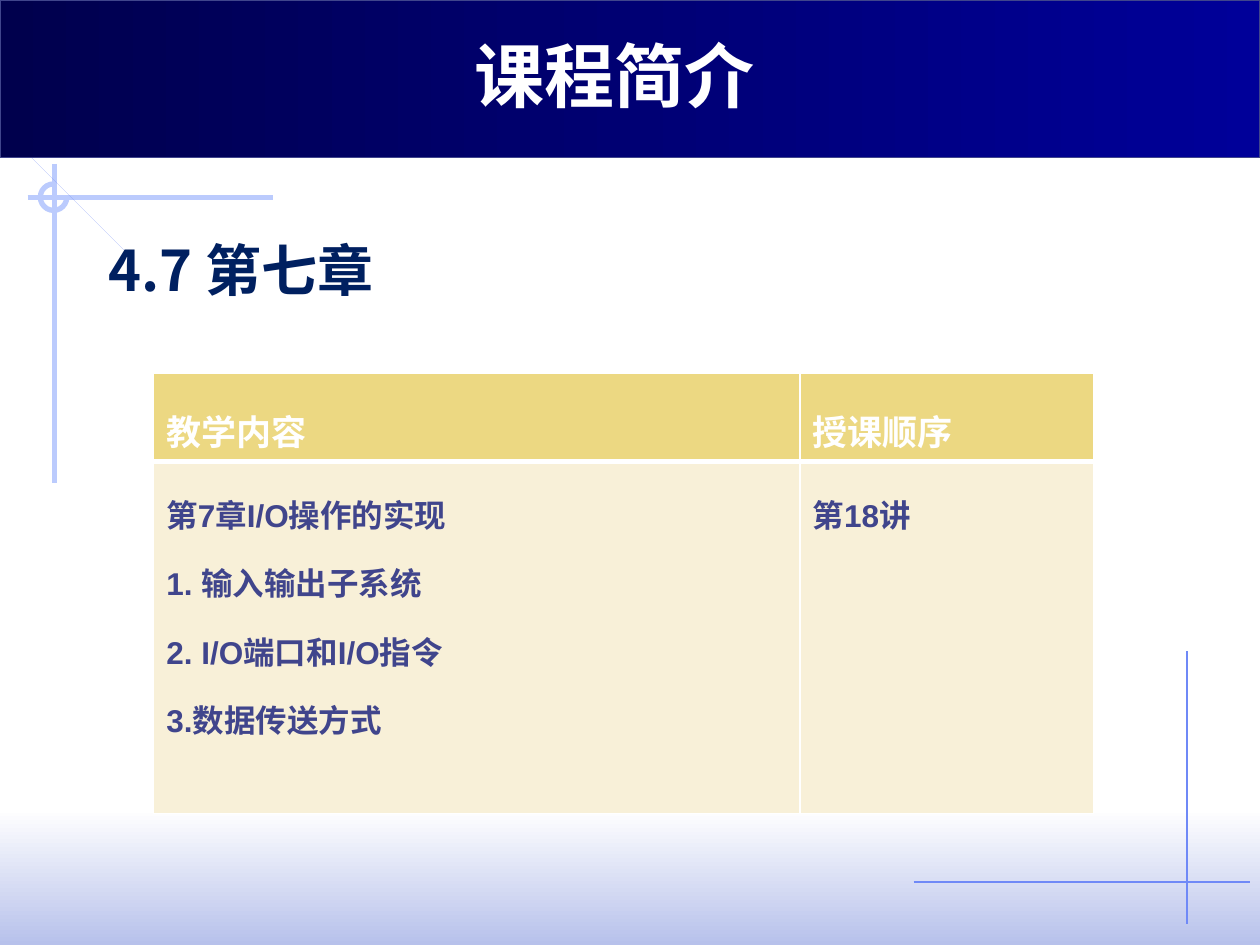
"""Build the course introduction slide for chapter seven."""
from lxml import etree
from pptx import Presentation
from pptx import util as u
from pptx.dml.color import RGBColor
from pptx.enum import shapes, text
from pptx.oxml.ns import qn

PALE_LINE, THIN_LINE, INDIGO, WHITE = "BBCBFD", "6F89F7", "40458C", "FFFFFF"
HEADER_FILL, BODY_FILL = "ECD882", "F8F0D8"
HEADINGS = ["教学内容", "授课顺序"]
LESSON = [
    ["第7章I/O操作的实现", "1. 输入输出子系统", "2. I/O端口和I/O指令", "3.数据传送方式"],
    ["第18讲"],
]


def color(value):
    """Return the colour for a hex string."""
    return RGBColor.from_string(value)


def place(item, left, top, width, height):
    """Set position and size in inches."""
    item.left, item.top = u.Inches(left), u.Inches(top)
    item.width, item.height = u.Inches(width), u.Inches(height)


def add_gradient_band(slide, top, height, start, end, angle, outline=None):
    """Add a full-width rectangle with a two-colour gradient."""
    band = slide.shapes.add_shape(
        shapes.MSO_SHAPE.RECTANGLE, 0, u.Inches(top), u.Inches(10), u.Inches(height))
    band.shadow.inherit = False
    band.fill.gradient()
    band.fill.gradient_angle = angle
    for stop, value in zip(band.fill.gradient_stops, (start, end)):
        stop.color.rgb = color(value)
    if outline:
        band.line.color.rgb = color(outline)
        band.line.width = u.Pt(0.75)
    else:
        band.line.fill.background()


def add_line(slide, start, end, value, width):
    """Add a straight line between two points."""
    line = slide.shapes.add_connector(
        shapes.MSO_CONNECTOR.STRAIGHT, *map(u.Inches, start + end))
    line.line.color.rgb = color(value)
    line.line.width = u.Pt(width)
    etree.SubElement(line.element.spPr, qn("a:effectLst"))


def add_ring(slide):
    """Add the open ring and its sliver at the crossing of the thick lines."""
    ring = slide.shapes.add_shape(
        shapes.MSO_SHAPE.ARC, *map(u.Inches, (0.32, 1.46, 0.21, 0.21)))
    ring.shadow.inherit = False
    ring.adjustments[0], ring.adjustments[1] = 0, 162
    ring.fill.background()
    ring.line.color.rgb = color(PALE_LINE)
    ring.line.width = u.Pt(3)
    outline = slide.shapes.build_freeform(0.43, 1.46, scale=u.Inches(1))
    outline.add_line_segments([(0.53, 1.57), (0.54, 1.6)], close=True)
    sliver = outline.convert_to_shape()
    sliver.shadow.inherit = False
    sliver.fill.solid()
    sliver.fill.fore_color.rgb = color(THIN_LINE)
    sliver.line.fill.background()


def add_run(paragraph, words, size, latin, asian, value):
    """Add a bold run with Latin and East Asian fonts."""
    run = paragraph.add_run()
    run.text = words
    run.font.size, run.font.bold, run.font.name = u.Pt(size), True, latin
    run.font.color.rgb = color(value)
    etree.SubElement(run.font._element, qn("a:ea"), typeface=asian)


def fill_placeholder(slide, holder, box, words, size, font, value, align, spacing, anchor):
    """Move a placeholder to the front and write one unbulleted line in it."""
    place(holder, *box)
    slide.shapes.element.append(holder.element)
    frame = holder.text_frame
    frame.vertical_anchor = anchor
    frame.auto_size = text.MSO_AUTO_SIZE.NONE
    paragraph = frame.paragraphs[0]
    paragraph.alignment, paragraph.line_spacing = align, spacing
    paragraph.space_before = u.Pt(0)
    properties = paragraph._p.get_or_add_pPr()
    properties.set("marL", "0")
    properties.set("indent", "0")
    etree.SubElement(properties, qn("a:buNone"))
    add_run(paragraph, words, size, font, font, value)


def set_borders(cell, bottom):
    """Draw white cell borders with the given bottom width."""
    properties = cell._tc.get_or_add_tcPr()
    for index, (side, width) in enumerate(
            [("lnL", 1), ("lnR", 1), ("lnT", 1), ("lnB", bottom)]):
        border = etree.Element(qn(f"a:{side}"), w=str(u.Pt(width)))
        fill = etree.SubElement(border, qn("a:solidFill"))
        etree.SubElement(fill, qn("a:srgbClr"), val=WHITE)
        properties.insert(index, border)


def fill_cell(cell, lines, size, value, background, bottom):
    """Write the lines of one table cell and style it."""
    cell.fill.solid()
    cell.fill.fore_color.rgb = color(background)
    set_borders(cell, bottom)
    frame = cell.text_frame
    for index, words in enumerate(lines):
        paragraph = frame.add_paragraph() if index else frame.paragraphs[0]
        paragraph.line_spacing = 1.5
        add_run(paragraph, words, size, "Arial", "Noto Sans CJK SC", value)


def add_schedule(slide):
    """Add the table of contents taught and lesson order."""
    schedule = slide.shapes.add_table(
        2, 2, *map(u.Inches, (1.22, 2.96, 7.46, 3.41))).table
    for column, width in zip(schedule.columns, (5.13, 2.33)):
        column.width = u.Inches(width)
    for row, height in zip(schedule.rows, (0.62, 2.79)):
        row.height = u.Inches(height)
    for index, (heading, lines) in enumerate(zip(HEADINGS, LESSON)):
        fill_cell(schedule.cell(0, index), [heading], 20, WHITE, HEADER_FILL, 3)
        fill_cell(schedule.cell(1, index), lines, 18, INDIGO, BODY_FILL, 1)


def main():
    """Build and save the slide."""
    deck = Presentation()
    deck.slide_width, deck.slide_height = u.Inches(10), u.Inches(7.5)
    slide = deck.slides.add_slide(deck.slide_layouts[1])
    title, chapter = slide.placeholders
    add_gradient_band(slide, 6.42, 1.08, WHITE, "B7C1EB", 270)
    add_line(slide, (9.42, 5.17), (9.42, 7.33), THIN_LINE, 0.75)
    add_line(slide, (7.25, 7), (9.92, 7), THIN_LINE, 0.75)
    add_line(slide, (0.22, 1.57), (2.17, 1.57), PALE_LINE, 3)
    add_line(slide, (0.43, 1.3), (0.43, 3.83), PALE_LINE, 3)
    add_ring(slide)
    add_gradient_band(slide, 0, 1.25, "00004D", "000099", 0, INDIGO)
    fill_placeholder(slide, chapter, (0.76, 1.55, 8.25, 1.41), "4.7 第七章", 32,
                     "Noto Sans CJK SC", "002060", text.PP_ALIGN.LEFT, 1.5,
                     text.MSO_ANCHOR.TOP)
    fill_placeholder(slide, title, (0.9, 0.21, 7.95, 0.77), "课程简介", 40,
                     "Noto Sans CJK JP", WHITE, text.PP_ALIGN.CENTER, 1,
                     text.MSO_ANCHOR.MIDDLE)
    add_schedule(slide)
    deck.save("out.pptx")


if __name__ == "__main__":
    main()
